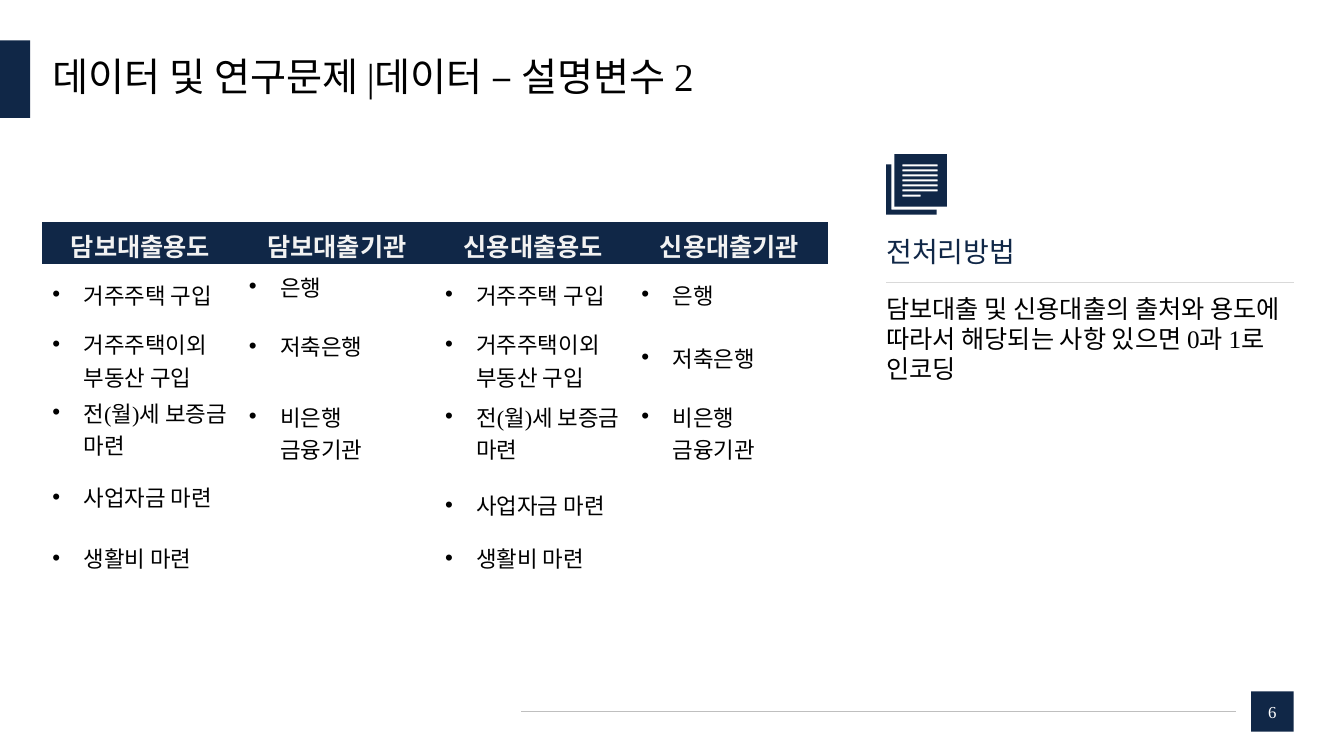
from pptx import Presentation
from pptx.dml.color import RGBColor
from pptx.enum.shapes import MSO_CONNECTOR, MSO_SHAPE
from pptx.enum.text import MSO_ANCHOR, MSO_AUTO_SIZE, PP_ALIGN
from pptx.oxml.ns import qn
from pptx.util import Inches, Pt
from lxml import etree

RECT = MSO_SHAPE.RECTANGLE
STRAIGHT = MSO_CONNECTOR.STRAIGHT
MIDDLE, TOP = MSO_ANCHOR.MIDDLE, MSO_ANCHOR.TOP
NO_FIT = MSO_AUTO_SIZE.NONE
LEFT, CENTER = PP_ALIGN.LEFT, PP_ALIGN.CENTER

FONT = "Times New Roman"
NAVY, BLACK, WHITE = "102747", "000000", "FFFFFF"
PLAIN_TABLE = "{2D5ABB26-0587-4C30-8999-92F81FD0307C}"

HEADERS = ["담보대출용도", "담보대출기관", "신용대출용도", "신용대출기관"]
PURPOSES = ["거주주택 구입", "거주주택이외 부동산 구입", "전(월)세 보증금 마련",
            "사업자금 마련", "생활비 마련"]
LENDERS = ["은행", "저축은행", "비은행 금융기관"]
ROW_HEIGHTS = [0.42, 0.6, 0.71, 0.72, 0.71, 0.35]
# Bottom margins that lift single cells, by (row, column)
LIFTS = {(1, 1): 0.16, (2, 1): 0.28, (2, 3): 0.06, (3, 0): 0.08, (4, 0): 0.16}


def rgb(value):
    return RGBColor.from_string(value)


def write(tf, text, size, color, align=LEFT, bold=False):
    tf.text = text
    p = tf.paragraphs[0]
    p.alignment = align
    font = p.runs[0].font
    font.name, font.size, font.bold = FONT, Pt(size), bold
    font.color.rgb = rgb(color)
    return p


def clear_insets(tf, anchor):
    tf.margin_left = tf.margin_right = tf.margin_top = tf.margin_bottom = 0
    tf.vertical_anchor = anchor
    tf.word_wrap = True
    tf.auto_size = NO_FIT


def paint(sp, color):
    sp.shadow.inherit = False
    sp.fill.solid()
    sp.fill.fore_color.rgb = rgb(color)
    sp.line.fill.background()


def add_rect(shapes, x, y, w, h, color):
    sp = shapes.add_shape(RECT, Inches(x), Inches(y), Inches(w), Inches(h))
    paint(sp, color)
    return sp


def add_rule(shapes, x1, x2, y, color):
    line = shapes.add_connector(STRAIGHT, Inches(x1), Inches(y), Inches(x2), Inches(y))
    line.line.color.rgb = rgb(color)
    line.line.width = Pt(0.5)
    etree.SubElement(line._element.spPr, qn("a:effectLst"))


def add_text(shapes, x, y, w, h, text, size, color):
    box = shapes.add_textbox(Inches(x), Inches(y), Inches(w), Inches(h))
    clear_insets(box.text_frame, TOP)
    p = write(box.text_frame, text, size, color)
    p.space_after = Pt(12)


def add_outline(shapes, contours, color):
    """Draw closed contours as one shape; inner contours become holes."""
    points = [[(Inches(x), Inches(y)) for x, y in contour] for contour in contours]
    builder = shapes.build_freeform(*points[0][0])
    builder.add_line_segments(points[0][1:], close=True)
    for contour in points[1:]:
        builder.move_to(*contour[0])
        builder.add_line_segments(contour[1:], close=True)
    paint(builder.convert_to_shape(), color)


def box_contour(x1, y1, x2, y2):
    return [(x1, y1), (x2, y1), (x2, y2), (x1, y2)]


def add_bullet(p):
    pPr = p._p.get_or_add_pPr()
    pPr.set("marL", str(Inches(0.31)))
    pPr.set("indent", str(-Inches(0.31)))
    etree.SubElement(pPr, qn("a:buFont"), typeface="Arial")
    etree.SubElement(pPr, qn("a:buChar"), char="•")


def add_loan_table(shapes):
    frame = shapes.add_table(len(ROW_HEIGHTS), len(HEADERS), Inches(0.42), Inches(2.2),
                             Inches(7.79), Inches(sum(ROW_HEIGHTS)))
    table = frame.table
    table.horz_banding = False
    table._tbl.tblPr.find(qn("a:tableStyleId")).text = PLAIN_TABLE
    for row, height in zip(table.rows, ROW_HEIGHTS):
        row.height = Inches(height)
    columns = [PURPOSES, LENDERS, PURPOSES, LENDERS]
    for c, (header, items) in enumerate(zip(HEADERS, columns)):
        for r in range(len(ROW_HEIGHTS)):
            cell = table.cell(r, c)
            cell.vertical_anchor = MIDDLE
            cell.margin_top = 0
            cell.margin_bottom = Inches(LIFTS.get((r, c), 0))
            if r == 0:
                cell.fill.solid()
                cell.fill.fore_color.rgb = rgb(NAVY)
                cell.margin_top = Inches(0.05)
                write(cell.text_frame, header, 18, "F2F2F2", CENTER, True)
                continue
            cell.fill.background()
            if r <= len(items):
                add_bullet(write(cell.text_frame, items[r - 1], 16, BLACK))


def add_document_icon(shapes):
    back = [(8.79, 1.63), (8.84, 1.63), (8.84, 2.08), (9.29, 2.08), (9.29, 2.13), (8.79, 2.13)]
    add_outline(shapes, [back], NAVY)
    page = [box_contour(8.87, 1.53, 9.39, 2.05)]
    for i in range(7):
        y = 1.63 + 0.05 * i
        page.append(box_contour(8.95, y, 9.13 if i == 6 else 9.3, y + 0.02))
    add_outline(shapes, page, NAVY)


def main():
    prs = Presentation()
    prs.slide_width, prs.slide_height = Inches(13.33), Inches(7.5)
    s = prs.slides.add_slide(prs.slide_layouts[5])

    # Title
    title = s.shapes.title
    title.left, title.top = Inches(0.52), Inches(0.4)
    title.width, title.height = Inches(12.31), Inches(0.77)
    clear_insets(title.text_frame, MIDDLE)
    p = write(title.text_frame, "데이터 및 연구문제 |데이터 – 설명변수 2", 28, BLACK)
    p.line_spacing = 0.9
    add_rect(s.shapes, 0, 0.4, 0.3, 0.77, NAVY)

    # Footer
    number = add_rect(s.shapes, 12.41, 6.86, 0.42, 0.4, NAVY)
    number.text_frame.vertical_anchor = MIDDLE
    write(number.text_frame, "6", 12, WHITE, CENTER)
    add_rule(s.shapes, 5.17, 12.26, 7.06, "BFBFBF")

    # Preprocessing panel
    panel = s.shapes.add_group_shape().shapes
    add_text(panel, 8.79, 2.91, 4.04, 0.91,
             "담보대출 및 신용대출의 출처와 용도에 따라서 해당되는 사항 있으면 0과 1로 인코딩",
             18, BLACK)
    add_text(panel, 8.79, 2.33, 4.04, 0.34, "전처리방법", 20, NAVY)
    add_rule(panel, 8.79, 12.83, 2.8, "D9D9D9")

    # Loan variables and icon
    add_loan_table(s.shapes)
    add_document_icon(s.shapes.add_group_shape().shapes)

    prs.save("out.pptx")


if __name__ == "__main__":
    main()
